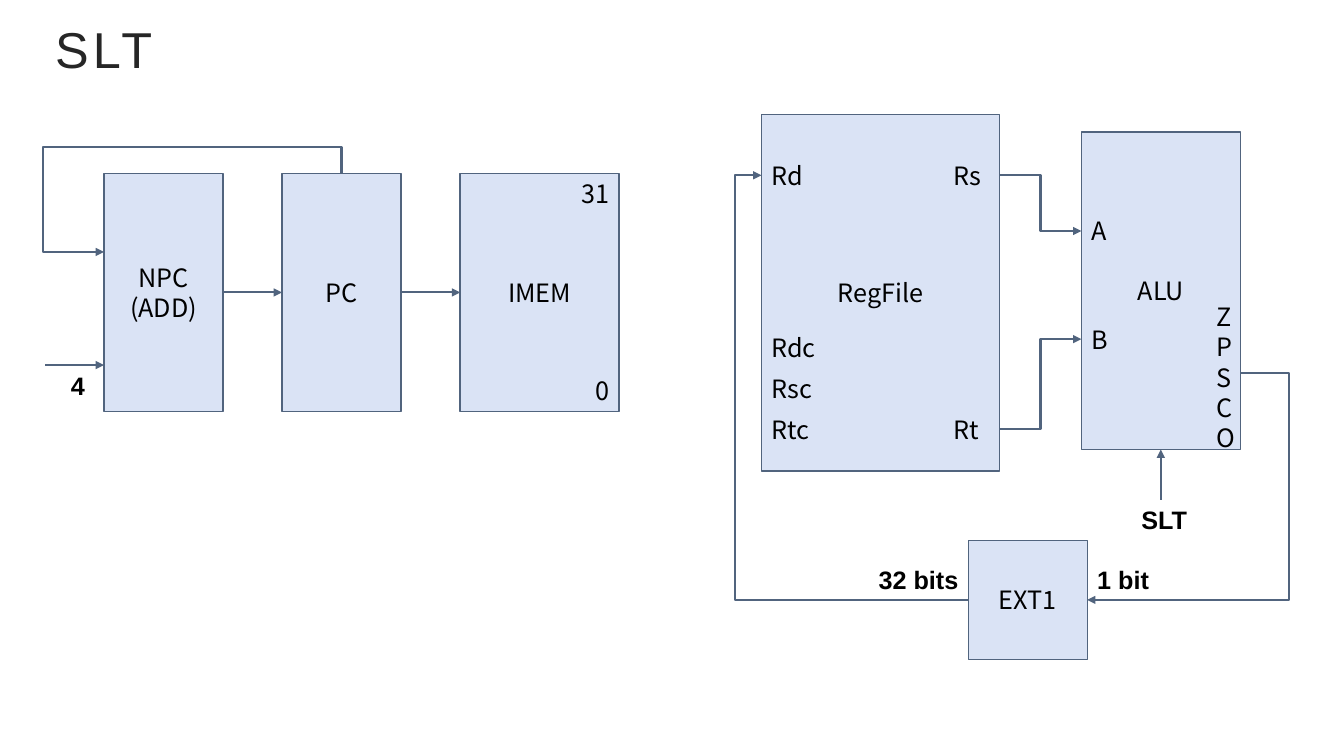
from lxml.etree import SubElement
from pptx import Presentation
from pptx.dml.color import RGBColor
from pptx.enum.shapes import MSO_CONNECTOR, MSO_SHAPE
from pptx.enum.text import MSO_ANCHOR, PP_ALIGN
from pptx.oxml.ns import qn
from pptx.util import Pt

BLOCK_FILL = RGBColor(0xDA, 0xE3, 0xF5)
WIRE = RGBColor(0x51, 0x64, 0x7E)
BLACK = RGBColor(0, 0, 0)
TITLE_COLOR = RGBColor(0x26, 0x26, 0x26)

PORT_FORMAT = {"name": "Noto Sans CJK JP", "size": Pt(18)}
SIGNAL_FORMAT = {"name": "Arial", "size": Pt(18), "bold": True}
TITLE_FORMAT = {"name": "Arial", "size": Pt(36)}

LEFT, CENTER, RIGHT = PP_ALIGN.LEFT, PP_ALIGN.CENTER, PP_ALIGN.RIGHT
LEFT_SIDE, BOTTOM_SIDE, RIGHT_SIDE = 1, 2, 3
LABEL_HEIGHT = 29.1


class Diagram:
    def __init__(self, slide):
        self.slide = slide

    def set_text(self, shape, text, text_format, alignment, anchor, color=BLACK):
        frame = shape.text_frame
        frame.word_wrap = True
        frame.vertical_anchor = anchor
        frame.text = text
        for paragraph in frame.paragraphs:
            paragraph.alignment = alignment
            for run in paragraph.runs:
                for attribute, value in text_format.items():
                    setattr(run.font, attribute, value)
                run.font.color.rgb = color

    def block(self, text, left, top, width, height):
        shape = self.slide.shapes.add_shape(
            MSO_SHAPE.RECTANGLE, Pt(left), Pt(top), Pt(width), Pt(height))
        shape.shadow.inherit = False
        shape.fill.solid()
        shape.fill.fore_color.rgb = BLOCK_FILL
        shape.line.color.rgb = WIRE
        shape.line.width = Pt(1)
        self.set_text(shape, text, PORT_FORMAT, CENTER, MSO_ANCHOR.MIDDLE)
        return shape

    def label(self, text, left, top, width, alignment=LEFT,
              text_format=PORT_FORMAT, height=LABEL_HEIGHT):
        shape = self.slide.shapes.add_textbox(Pt(left), Pt(top), Pt(width), Pt(height))
        self.set_text(shape, text, text_format, alignment, MSO_ANCHOR.TOP)

    def title(self, text, left, top, width, height):
        shape = self.slide.shapes.add_textbox(Pt(left), Pt(top), Pt(width), Pt(height))
        self.set_text(shape, text, TITLE_FORMAT, LEFT, MSO_ANCHOR.MIDDLE, TITLE_COLOR)
        for run_properties in shape.element.iter(qn("a:rPr")):
            run_properties.set("spc", "300")

    def style_wire(self, wire):
        """Colour the wire and put an arrowhead at its end."""
        wire.line.color.rgb = WIRE
        wire.line.width = Pt(1.5)
        properties = wire.element.spPr
        SubElement(properties.find(qn("a:ln")), qn("a:tailEnd"), type="triangle")
        if properties.find(qn("a:effectLst")) is None:
            SubElement(properties, qn("a:effectLst"))

    def arrow(self, start, end, source=None, target=None):
        """Draw a straight arrow; source and target are (block, side) pairs."""
        wire = self.slide.shapes.add_connector(
            MSO_CONNECTOR.STRAIGHT, *map(Pt, start + end))
        if source:
            wire.begin_connect(*source)
        if target:
            wire.end_connect(*target)
        self.style_wire(wire)

    def elbow(self, start, end, bend):
        """Draw an arrow whose vertical part lies at x = bend."""
        wire = self.slide.shapes.add_connector(
            MSO_CONNECTOR.ELBOW, *map(Pt, start + end))
        share = round(100000 * (bend - start[0]) / (end[0] - start[0]))
        guides = wire.element.spPr.find(qn("a:prstGeom")).get_or_add_avLst()
        SubElement(guides, qn("a:gd"), name="adj1", fmla=f"val {share}")
        self.style_wire(wire)

    def route(self, *points):
        """Draw an arrow along all the given points."""
        start, *rest = [(Pt(x), Pt(y)) for x, y in points]
        builder = self.slide.shapes.build_freeform(*start)
        builder.add_line_segments(rest, close=False)
        wire = builder.convert_to_shape()
        wire.shadow.inherit = False
        wire.fill.background()
        self.style_wire(wire)


def draw_fetch(diagram):
    left, top, width, height, pitch = 74.3, 123.9, 85, 170, 127.2
    middle = top + height / 2
    memory_left, memory_width = left + 2 * pitch, 113.4
    npc = diagram.block("NPC\n(ADD)", left, top, width, height)
    pc = diagram.block("PC", left + pitch, top, width, height)
    memory = diagram.block("IMEM", memory_left, top, memory_width, height)
    for text, label_top in (("31", top), ("0", top + height - LABEL_HEIGHT)):
        diagram.label(text, memory_left + memory_width - 53, label_top, 53, RIGHT)

    for index, (source, target) in enumerate(((npc, pc), (pc, memory))):
        start = left + width + index * pitch
        diagram.arrow((start, middle), (start + pitch - width, middle),
                      (source, RIGHT_SIDE), (target, LEFT_SIDE))
    diagram.arrow((32.2, 260.8), (left, 260.8))
    diagram.label("4", 36.9, 260.8, 37.4, CENTER, SIGNAL_FORMAT)
    pc_center = left + pitch + width / 2
    diagram.route((pc_center, top), (pc_center, 105), (30.6, 105),
                  (30.6, 180), (left, 180))


def draw_execute(diagram):
    file_left, file_right = 544, 714
    alu_left, alu_top, alu_width, alu_height = 772.5, 94.3, 113.4, 226.8
    alu_right, alu_bottom = alu_left + alu_width, alu_top + alu_height
    alu_center = alu_left + alu_width / 2
    extend_left, extend_top, extend_size = 691.6, 386, 85
    extend_right = extend_left + extend_size
    extend_middle = extend_top + extend_size / 2
    first_row, last_row = 125.3, 306.6
    half_label = LABEL_HEIGHT / 2

    diagram.block("RegFile", file_left, 81.6, file_right - file_left, 255)
    alu = diagram.block("ALU", alu_left, alu_top, alu_width, alu_height)
    diagram.block("EXT1", extend_left, extend_top, extend_size, extend_size)

    diagram.label("Rd", file_left, first_row - half_label, 54)
    for index, text in enumerate(("Rtc", "Rsc", "Rdc")):
        diagram.label(text, file_left, last_row - half_label - index * 29.2, 54)
    for text, row, port, port_row in (("Rs", first_row, "A", 165),
                                      ("Rt", last_row, "B", 242.3)):
        diagram.label(text, file_right - 40.3, row - half_label, 40.3)
        diagram.label(port, alu_left, port_row - half_label, 40)
        diagram.elbow((file_right, row), (alu_left, port_row),
                      (file_right + alu_left) / 2)
    diagram.label("ZPSCO", 861.8, 211.7, 24.4, CENTER, height=109.4)

    diagram.arrow((alu_center, 357), (alu_center, alu_bottom),
                  target=(alu, BOTTOM_SIDE))
    diagram.label("SLT", 777, 357, 109, CENTER, SIGNAL_FORMAT)
    diagram.elbow((alu_right, 266.4), (extend_right, extend_middle), 920.9)
    diagram.elbow((extend_left, extend_middle), (file_left, first_row), 525)
    bits_top = extend_middle - LABEL_HEIGHT
    diagram.label("1 bit", extend_right, bits_top, 68, LEFT, SIGNAL_FORMAT)
    diagram.label("32 bits", extend_left - 110, bits_top, 110, RIGHT, SIGNAL_FORMAT)


def main():
    presentation = Presentation()
    presentation.slide_width = Pt(960)
    presentation.slide_height = Pt(540)
    diagram = Diagram(presentation.slides.add_slide(presentation.slide_layouts[6]))
    diagram.title("SLT", 32.4, 7.2, 864, 55.4)
    draw_fetch(diagram)
    draw_execute(diagram)
    presentation.save("out.pptx")


if __name__ == "__main__":
    main()
